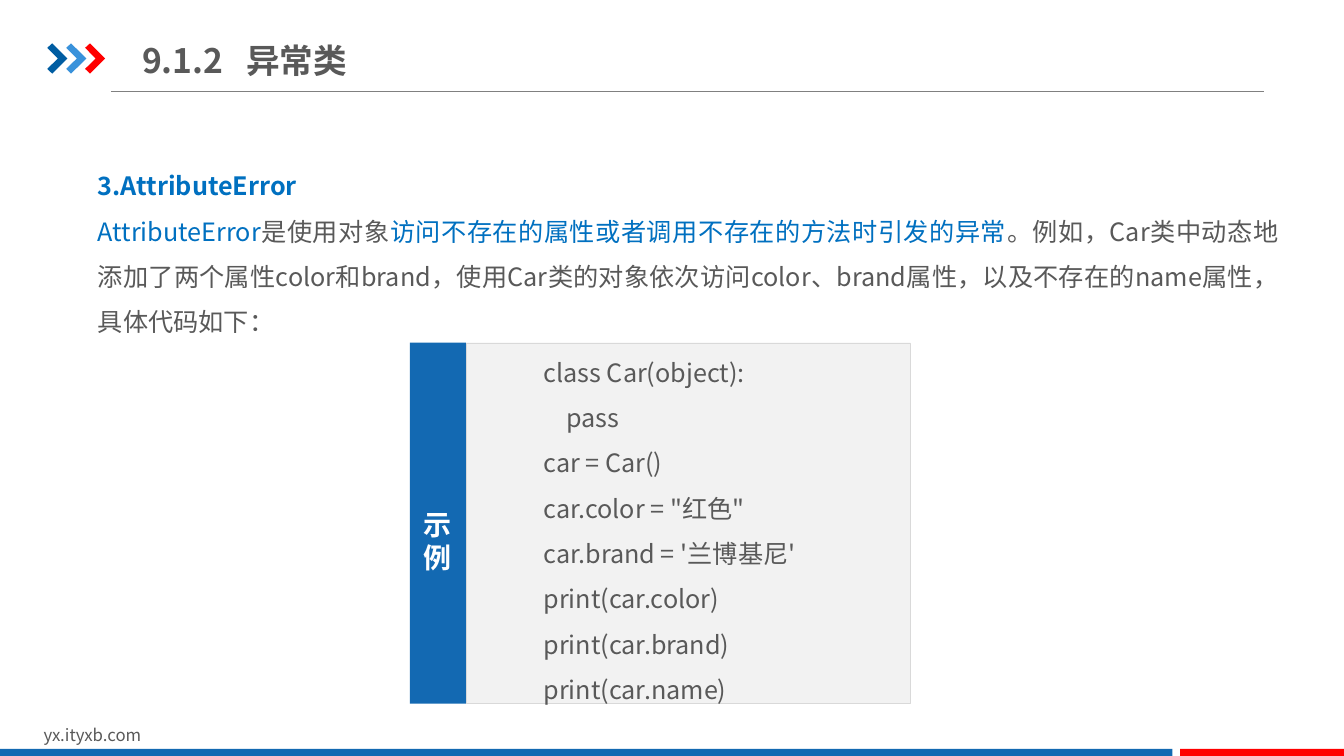
from lxml import etree
from pptx import Presentation
from pptx.dml.color import RGBColor
from pptx.enum import shapes, text
from pptx.oxml import ns
from pptx.util import Pt

FONT = "Noto Sans CJK SC"
GREY = RGBColor(0x59, 0x59, 0x59)
RULE = RGBColor(0x80, 0x80, 0x80)
BLUE = RGBColor(0x13, 0x69, 0xB2)
LINK = RGBColor(0x00, 0x70, 0xC0)
NAVY = RGBColor(0x00, 0x5D, 0xA2)
SKY = RGBColor(0x39, 0x92, 0xDB)
RED = RGBColor(0xFF, 0x00, 0x00)
PALE = RGBColor(0xF2, 0xF2, 0xF2)
EDGE = RGBColor(0xD9, 0xD9, 0xD9)
WHITE = RGBColor(0xFF, 0xFF, 0xFF)

LEFT = text.PP_ALIGN.LEFT
MID = text.MSO_ANCHOR.MIDDLE
WIDE, HIGH = 960, 540
CODE = """class Car(object):
    pass
car = Car()
car.color = "红色"
car.brand = '兰博基尼'
print(car.color)
print(car.brand)
print(car.name)"""


def write(shape, paras, size=18, color=GREY, bold=False, align=LEFT,
          anchor=text.MSO_ANCHOR.TOP, space=1.0, inset=(7.2, 3.6, 7.2, 3.6), tab=None):
    """Fill a shape with paragraphs, each a string or a list of (words, color, bold)."""
    frame = shape.text_frame
    frame.word_wrap = True
    frame.auto_size = text.MSO_AUTO_SIZE.NONE
    frame.vertical_anchor = anchor
    (frame.margin_left, frame.margin_top,
     frame.margin_right, frame.margin_bottom) = map(Pt, inset)
    for i, runs in enumerate(paras):
        para = frame.add_paragraph() if i else frame.paragraphs[0]
        para.alignment, para.line_spacing = align, space
        para.space_before = Pt(0)
        if tab:
            tabs = etree.SubElement(para._p.get_or_add_pPr(), ns.qn("a:tabLst"))
            etree.SubElement(tabs, ns.qn("a:tab"), pos=str(Pt(tab)), algn="l")
        for words, tint, heavy in [(runs, color, bold)] if isinstance(runs, str) else runs:
            run = para.add_run()
            run.text = words
            font = run.font
            font.name, font.size, font.bold = FONT, Pt(size), heavy
            font.color.rgb = tint
            etree.SubElement(run._r.get_or_add_rPr(), ns.qn("a:ea"), typeface=FONT)


def paint(shape, fill, edge=None):
    """Give a shape a flat fill and an optional thin edge."""
    shape.shadow.inherit = False
    shape.fill.solid()
    shape.fill.fore_color.rgb = fill
    if edge is None:
        shape.line.fill.background()
    else:
        shape.line.color.rgb = edge
        shape.line.width = Pt(0.25)
    return shape


def block(slide, x, y, w, h, fill, edge=None):
    """Draw a flat rectangle."""
    kind = shapes.MSO_SHAPE.RECTANGLE
    return paint(slide.shapes.add_shape(kind, Pt(x), Pt(y), Pt(w), Pt(h)), fill, edge)


def label(slide, x, y, w, h, paras, **style):
    """Place a text box."""
    write(slide.shapes.add_textbox(Pt(x), Pt(y), Pt(w), Pt(h)), paras, **style)


def header(slide, x, y, w, h):
    """Draw the chevrons, the title and the rule beneath it."""
    for i, tint in enumerate((NAVY, SKY, RED)):
        pen = slide.shapes.build_freeform(0, 32, scale=Pt(0.1))
        pen.add_line_segments([(35, 0), (144, 108), (35, 216), (0, 182), (76, 108)])
        paint(pen.convert_to_shape(Pt(x + 13.5 * i), Pt(y + 10)), tint)
    title = slide.shapes.title
    title.left, title.top = Pt(x + 60.5), Pt(y)
    title.width, title.height = Pt(390), Pt(44)
    write(title, ["9.1.2\t异常类"], size=24, bold=True, anchor=MID, tab=74.5)
    rule = slide.shapes.add_connector(shapes.MSO_CONNECTOR.STRAIGHT, Pt(x + 45.5),
                                      Pt(y + h), Pt(x + w), Pt(y + h))
    rule.line.color.rgb = RULE
    rule.line.width = Pt(0.75)
    etree.SubElement(rule._element.spPr, ns.qn("a:effectLst"))


def body(slide, x, y, w, h):
    """Place the explanation of the exception."""
    label(slide, x, y, w, h, [
        [("3.AttributeError", LINK, True)],
        [("AttributeError", LINK, False),
         ("是使用对象", GREY, False),
         ("访问不存在的属性或者调用不存在的方法时引发的异常", LINK, False),
         ("。例如，Car类中动态地添加了两个属性color和brand，使用Car类的对象依次访问"
          "color、brand属性，以及不存在的name属性，具体代码如下：", GREY, False)],
    ], align=text.PP_ALIGN.JUSTIFY, space=1.5, inset=(9.4, 5, 9.4, 5))


def sample(slide, x, y, w, h, side=40):
    """Draw the code panel with its label strip at the left."""
    panel = block(slide, x + side, y, w - side, h, PALE, EDGE)
    write(panel, CODE.split("\n"), anchor=MID, space=1.5, inset=(55.5, 3.6, 7.2, 3.6))
    strip = block(slide, x, y, side, h, BLUE)
    write(strip, ["示", "例"], size=20, color=WHITE, bold=True, anchor=MID,
          align=text.PP_ALIGN.CENTER, inset=(0, 25, 0, 0))


def footer(slide, x, y, w, h):
    """Draw the site address and the two-colour bar."""
    label(slide, x + 24, y - 21, 229, 21.6, ["yx.ityxb.com"], size=12)
    block(slide, x, y, 837.5, h, BLUE)
    block(slide, x + 843, y, w - 843, h, RED)


def main():
    """Build and save the slide."""
    deck = Presentation()
    deck.slide_width, deck.slide_height = Pt(WIDE), Pt(HIGH)
    slide = deck.slides.add_slide(deck.slide_layouts[5])
    header(slide, 33.8, 21, 869, 44.5)
    body(slide, 60.5, 106, 862, 142)
    sample(slide, 292.8, 244.8, 357.5, 257.8)
    footer(slide, 0, 535, WIDE, 5)
    deck.save("out.pptx")


if __name__ == "__main__":
    main()
